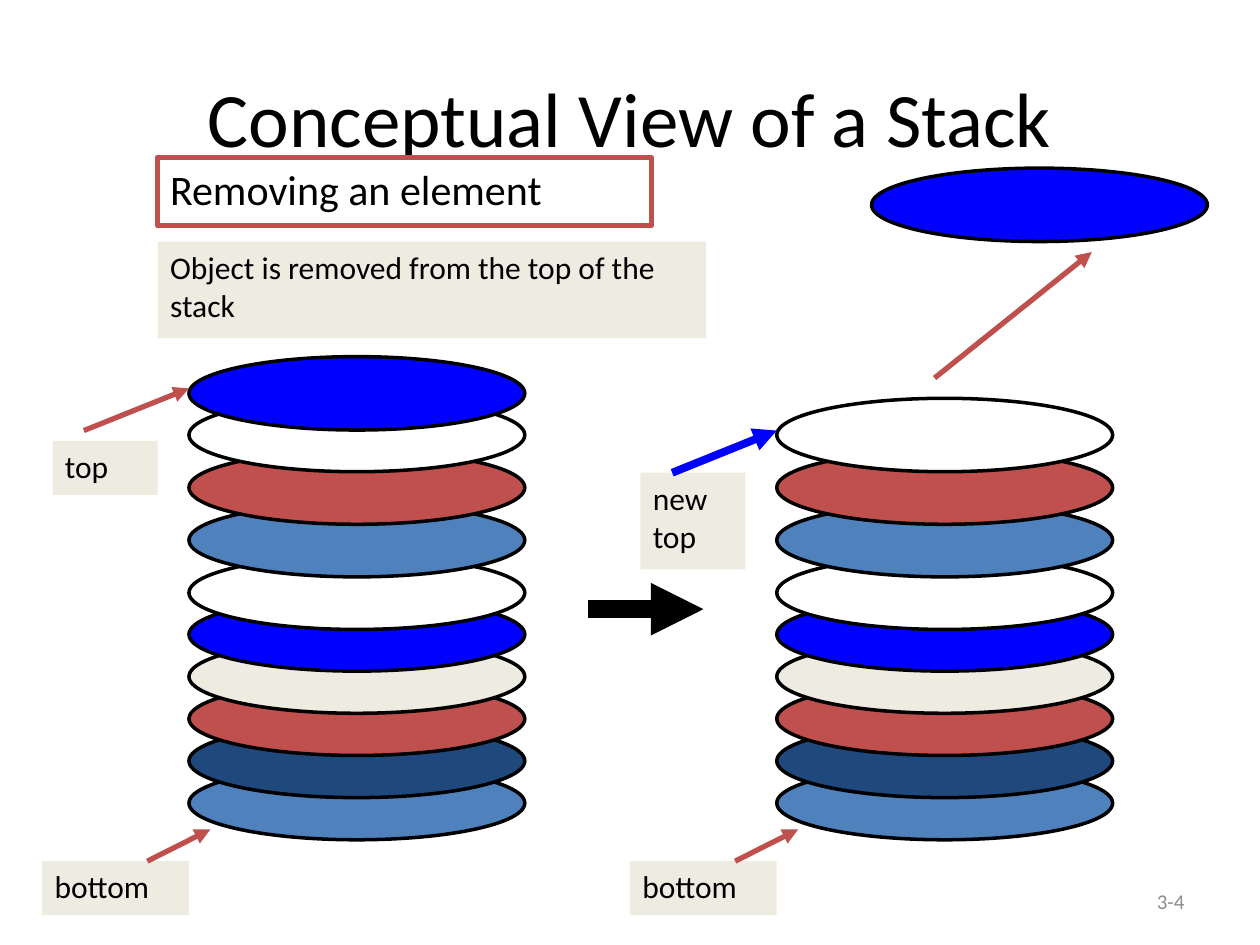
import pptx
import pptx.util
import pptx.dml.color
import pptx.enum.shapes
import pptx.enum.text
import pptx.oxml.ns
from lxml import etree
from pptx.util import Cm, Pt

ALIGN = pptx.enum.text.PP_ALIGN
ANCHOR = pptx.enum.text.MSO_ANCHOR
SHAPE = pptx.enum.shapes.MSO_SHAPE

BLACK, WHITE, BRIGHT = "000000", "FFFFFF", "0000FF"
RED, BLUE, NAVY, CREAM = "C0504D", "4F81BD", "1F497D", "EEECE1"

DISC_WIDTH, DISC_HEIGHT = 6.77, 1.48
STACK_BOTTOM = 15.45
# Discs from the bottom up: colour and rise to the next disc
DISCS = [(BLUE, 0.85), (NAVY, 0.85), (RED, 0.85), (CREAM, 0.85), (BRIGHT, 0.84),
         (WHITE, 1.06), (BLUE, 1.06), (RED, 1.06), (WHITE, 0.84), (BRIGHT, 0)]


def colour(code):
    """Turn a hex string into a colour."""
    return pptx.dml.color.RGBColor.from_string(code)


def add_text(page, text, left, top, width, height, size=18, ink=BLACK,
             fill=None, border=None, align=ALIGN.LEFT, anchor=ANCHOR.TOP):
    """Add a wrapped text box with an optional fill and border."""
    box = page.shapes.add_textbox(Cm(left), Cm(top), Cm(width), Cm(height))
    if fill:
        box.fill.solid()
        box.fill.fore_color.rgb = colour(fill)
    if border:
        box.line.color.rgb = colour(border)
        box.line.width = Pt(3)
    frame = box.text_frame
    frame.word_wrap = True
    frame.vertical_anchor = anchor
    para = frame.paragraphs[0]
    para.text = text
    para.alignment = align
    para.font.name = "Calibri"
    para.font.size = Pt(size)
    para.font.color.rgb = colour(ink)


def add_disc(page, left, top, fill):
    """Add one outlined disc."""
    disc = page.shapes.add_shape(SHAPE.OVAL, Cm(left), Cm(top),
                                 Cm(DISC_WIDTH), Cm(DISC_HEIGHT))
    disc.shadow.inherit = False
    disc.fill.solid()
    disc.fill.fore_color.rgb = colour(fill)
    disc.line.color.rgb = colour(BLACK)
    disc.line.width = Pt(2)


def add_stack(page, left, discs):
    """Pile discs upwards from the common bottom."""
    top = STACK_BOTTOM
    for fill, rise in discs:
        add_disc(page, left, top, fill)
        top -= rise


def add_arrow(page, start, end, ink=RED, weight=3):
    """Add a straight line with a triangular head at its end."""
    arrow = page.shapes.add_connector(
        pptx.enum.shapes.MSO_CONNECTOR.STRAIGHT,
        Cm(start[0]), Cm(start[1]), Cm(end[0]), Cm(end[1]))
    arrow.line.color.rgb = colour(ink)
    arrow.line.width = Pt(weight)
    name = pptx.oxml.ns.qn
    etree.SubElement(arrow.line._get_or_add_ln(), name("a:tailEnd"), type="triangle")
    etree.SubElement(arrow._element.spPr, name("a:effectLst"))


def add_bottom_label(page, left):
    """Add the bottom label and the arrow from it to the lowest disc."""
    add_text(page, "bottom", left, 17.36, 2.96, 1.09, fill=CREAM)
    add_arrow(page, (left + 2.12, 17.36), (left + 3.39, 16.72))


def main():
    """Build the slide and save it."""
    deck = pptx.Presentation()
    deck.slide_width, deck.slide_height = Cm(25.4), Cm(19.05)
    page = deck.slides.add_slide(deck.slide_layouts[6])

    add_text(page, "3-4", 18.2, 17.66, 5.93, 1.01, size=12, ink="8C8C8C",
             align=ALIGN.RIGHT, anchor=ANCHOR.MIDDLE)
    add_text(page, "Conceptual View of a Stack", 1.27, 0.76, 22.86, 3.18,
             size=44, align=ALIGN.CENTER, anchor=ANCHOR.MIDDLE)
    add_text(page, "Object is removed from the top of the stack",
             3.18, 4.87, 11.05, 1.95, fill=CREAM)
    add_text(page, "Removing an element", 3.18, 3.18, 9.95, 1.37,
             size=24, border=RED)

    add_stack(page, 3.81, DISCS)
    add_text(page, "top", 1.06, 8.89, 2.12, 1.09, fill=CREAM)
    add_bottom_label(page, 0.85)
    add_arrow(page, (1.69, 8.68), (3.81, 7.83))

    add_arrow(page, (11.85, 12.28), (14.18, 12.28), BLACK, 10)

    add_stack(page, 15.66, DISCS[:-1])
    add_disc(page, 17.57, 3.39, BRIGHT)
    add_text(page, "new top", 12.91, 9.53, 2.12, 1.95, fill=CREAM)
    add_bottom_label(page, 12.7)
    add_arrow(page, (13.55, 9.53), (15.66, 8.68), BRIGHT, 4.5)
    add_arrow(page, (18.84, 7.62), (22.01, 5.08))

    deck.save("out.pptx")


main()
